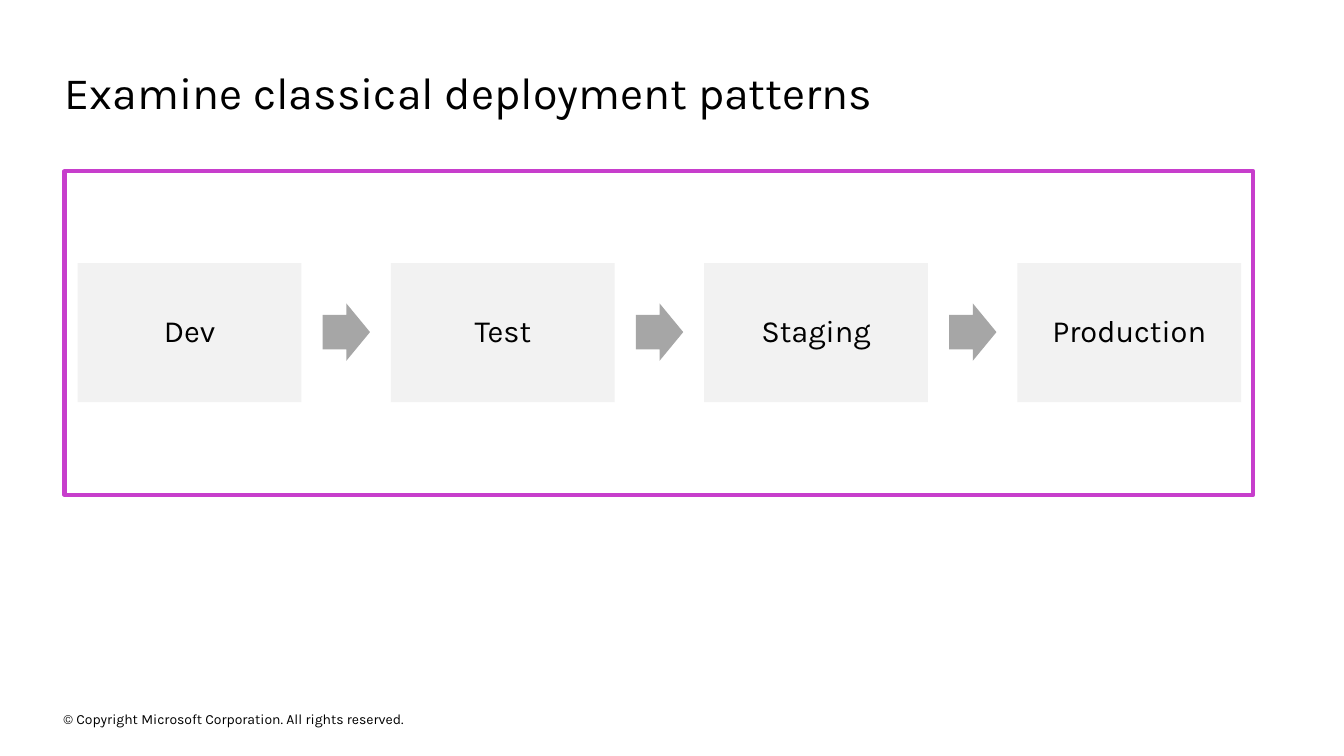
import dataclasses

import pptx
import pptx.dml.color
import pptx.enum.shapes
import pptx.enum.text
import pptx.util

Inches = pptx.util.Inches
RGBColor = pptx.dml.color.RGBColor
ShapeType = pptx.enum.shapes.MSO_SHAPE
Align = pptx.enum.text.PP_ALIGN
Anchor = pptx.enum.text.MSO_ANCHOR

BLACK = RGBColor(0x00, 0x00, 0x00)
WHITE = RGBColor(0xFF, 0xFF, 0xFF)
MAGENTA = RGBColor(0xC7, 0x3E, 0xCC)
LIGHT_GRAY = RGBColor(0xF2, 0xF2, 0xF2)
MID_GRAY = RGBColor(0xA6, 0xA6, 0xA6)

STAGES = ("Dev", "Test", "Staging", "Production")
FIRST_STAGE_LEFT = 0.77
LAST_STAGE_LEFT = 10.09
STAGE_PITCH = (LAST_STAGE_LEFT - FIRST_STAGE_LEFT) / (len(STAGES) - 1)
ARROW_OFFSET = 2.43


@dataclasses.dataclass(frozen=True)
class Area:
    left: float
    top: float
    width: float
    height: float

    def lengths(self) -> tuple:
        return tuple(Inches(value) for value in dataclasses.astuple(self))


@dataclasses.dataclass(frozen=True)
class TextStyle:
    size: float
    align: Align = Align.LEFT
    anchor: Anchor = Anchor.MIDDLE
    margin: float = 0
    line_spacing: float = 1.0


TITLE_STYLE = TextStyle(32, anchor=Anchor.TOP)
STAGE_STYLE = TextStyle(22, Align.CENTER, margin=0.11, line_spacing=0.9)
COPYRIGHT_STYLE = TextStyle(10)


def apply_formats(target: object, formats: dict) -> None:
    for name, value in formats.items():
        setattr(target, name, value)


def write_text(shape, text: str, style: TextStyle) -> None:
    frame = shape.text_frame
    margin = Inches(style.margin)
    apply_formats(frame, {
        "text": text,
        "word_wrap": True,
        "auto_size": pptx.enum.text.MSO_AUTO_SIZE.NONE,
        "vertical_anchor": style.anchor,
        "margin_left": margin,
        "margin_top": margin,
        "margin_right": margin,
        "margin_bottom": margin,
    })
    paragraph = frame.paragraphs[0]
    apply_formats(paragraph, {
        "alignment": style.align,
        "line_spacing": style.line_spacing,
    })
    font = paragraph.runs[0].font
    apply_formats(font, {"name": "Karla", "size": pptx.util.Pt(style.size)})
    font.color.rgb = BLACK


def add_filled_shape(slide, kind: ShapeType, area: Area, fill: RGBColor):
    shape = slide.shapes.add_shape(kind, *area.lengths())
    shape.shadow.inherit = False
    shape.fill.solid()
    shape.fill.fore_color.rgb = fill
    shape.line.fill.background()
    return shape


def add_title(slide, text: str, area: Area) -> None:
    title = slide.shapes.title
    apply_formats(title, dict(zip(("left", "top", "width", "height"), area.lengths())))
    write_text(title, text, TITLE_STYLE)


def add_copyright(slide, text: str, area: Area) -> None:
    write_text(slide.shapes.add_textbox(*area.lengths()), text, COPYRIGHT_STYLE)


def add_frame(slide, area: Area) -> None:
    frame = add_filled_shape(slide, ShapeType.RECTANGLE, area, WHITE)
    frame.line.color.rgb = MAGENTA
    frame.line.width = pptx.util.Pt(3)


def add_stage(slide, name: str, left: float) -> None:
    area = Area(left, 2.61, 2.22, 1.38)
    stage = add_filled_shape(slide, ShapeType.RECTANGLE, area, LIGHT_GRAY)
    write_text(stage, name, STAGE_STYLE)


def add_arrow(slide, left: float) -> None:
    area = Area(left, 3.01, 0.47, 0.57)
    arrow = add_filled_shape(slide, ShapeType.RIGHT_ARROW, area, MID_GRAY)
    arrow.adjustments[0] = 0.6
    arrow.adjustments[1] = 0.5


def main() -> None:
    presentation = pptx.Presentation()
    presentation.slide_width = Inches(13.33)
    presentation.slide_height = Inches(7.5)
    slide = presentation.slides.add_slide(presentation.slide_layouts[5])

    add_title(slide, "Examine classical deployment patterns", Area(0.64, 0.64, 12.04, 0.54))
    add_copyright(
        slide,
        "© Copyright Microsoft Corporation. All rights reserved.",
        Area(0.63, 7.02, 4.54, 0.22),
    )
    add_frame(slide, Area(0.64, 1.7, 11.79, 3.21))
    for index, name in enumerate(STAGES):
        left = FIRST_STAGE_LEFT + index * STAGE_PITCH
        add_stage(slide, name, left)
        if index < len(STAGES) - 1:
            add_arrow(slide, left + ARROW_OFFSET)

    presentation.save("out.pptx")


if __name__ == "__main__":
    main()
